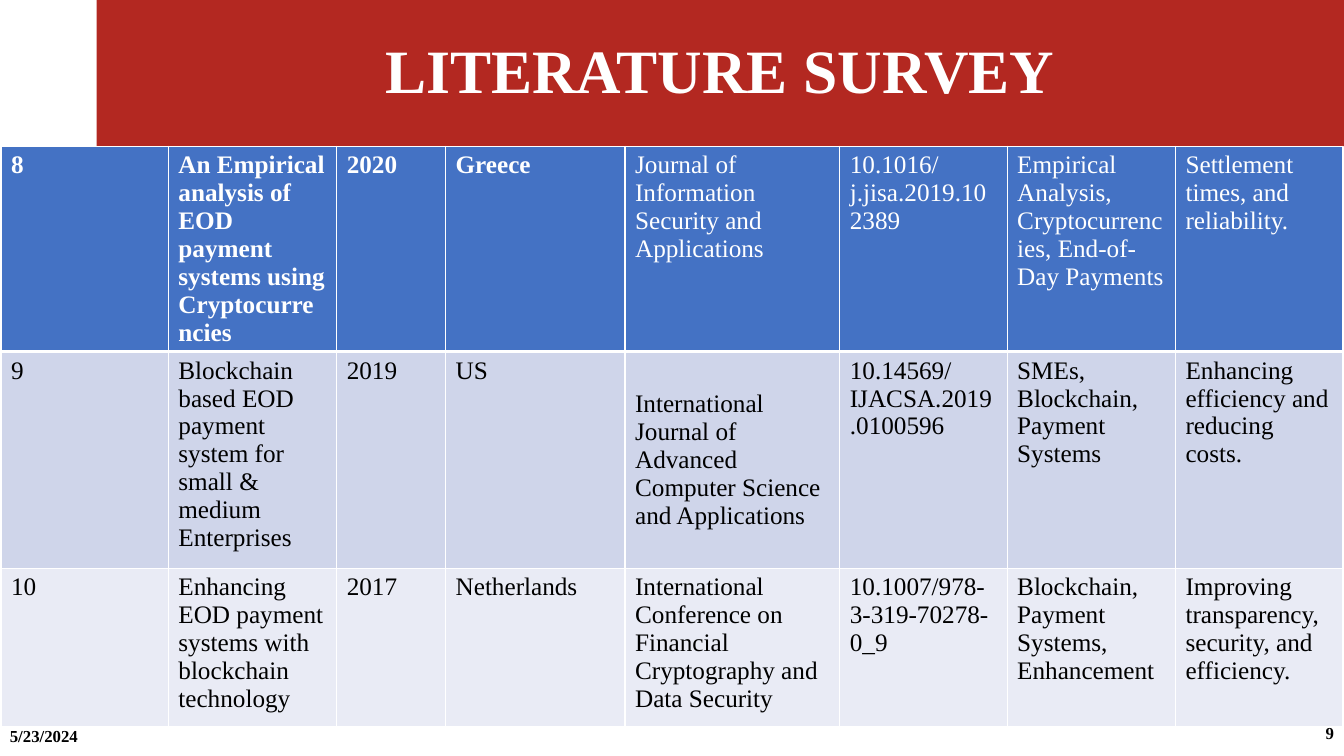
from lxml import etree
from pptx import Presentation
from pptx.dml.color import RGBColor
from pptx.enum import shapes, text
from pptx.oxml.ns import qn
from pptx.util import Inches, Pt

TITLE = "LITERATURE SURVEY"
PAPERS = [
    ("8", "An Empirical analysis of EOD payment systems using Cryptocurrencies",
     "2020", "Greece", "Journal of Information Security and Applications",
     "10.1016/j.jisa.2019.102389",
     "Empirical Analysis, Cryptocurrencies, End-of-Day Payments",
     "Settlement times, and reliability."),
    ("9", "Blockchain based EOD payment system for small & medium Enterprises",
     "2019", "US",
     "International Journal of Advanced Computer Science and Applications",
     "10.14569/IJACSA.2019.0100596", "SMEs, Blockchain, Payment Systems",
     "Enhancing efficiency and reducing costs."),
    ("10", "Enhancing EOD payment systems with blockchain technology",
     "2017", "Netherlands",
     "International Conference on Financial Cryptography and Data Security",
     "10.1007/978-3-319-70278-0_9", "Blockchain, Payment Systems, Enhancement",
     "Improving transparency, security, and efficiency."),
]
COLUMN_WIDTHS = [1.66, 1.67, 1.08, 1.78, 2.13, 1.66, 1.67, 1.66]
ROW_HEIGHTS = [1.86, 2.15, 1.57]
BOLD_COLUMNS = 4  # leading columns set bold in the top row
CENTERED_CELL = (1, 4)
FOOTERS = [  # wording, left, top, alignment
    ("9", 10.33, 7.07, text.PP_ALIGN.RIGHT),
    ("5/23/2024", 0, 7.1, text.PP_ALIGN.LEFT),
]
COLORS = {"banner": "B32821", "white": "FFFFFF", "black": "000000"}
ROW_FILLS = ["4472C4", "CFD5EA", "E9EBF5"]
FONT = "Times New Roman"


def paint(fill, color):
    fill.solid()
    fill.fore_color.rgb = RGBColor.from_string(color)


def write(frame, wording, size, color, bold, align=text.PP_ALIGN.LEFT):
    frame.word_wrap = True
    paragraph = frame.paragraphs[0]
    paragraph.alignment = align
    run = paragraph.add_run()
    run.text = wording
    run.font.name = FONT
    run.font.size = Pt(size)
    run.font.bold = bold
    run.font.color.rgb = RGBColor.from_string(color)
    return paragraph


def add_border(cell, side, width):
    line = etree.SubElement(cell._tc.get_or_add_tcPr(), qn(f"a:ln{side}"),
                            w=str(Pt(width)))
    solid = etree.SubElement(line, qn("a:solidFill"))
    etree.SubElement(solid, qn("a:srgbClr"), val=COLORS["white"])


deck = Presentation()
deck.slide_width, deck.slide_height = Inches(13.33), Inches(7.5)
slide = deck.slides.add_slide(deck.slide_layouts[6])

# Title banner
banner = slide.shapes.add_shape(shapes.MSO_SHAPE.RECTANGLE, Inches(0.96), 0,
                                Inches(12.37), Inches(1.45))
banner.shadow.inherit = False
paint(banner.fill, COLORS["banner"])
banner.line.fill.background()
banner.text_frame.vertical_anchor = text.MSO_ANCHOR.MIDDLE
heading = write(banner.text_frame, TITLE, 44, COLORS["white"], True,
                text.PP_ALIGN.CENTER)
heading.line_spacing = 0.9

# Survey table
survey = slide.shapes.add_table(
    len(PAPERS), len(COLUMN_WIDTHS), Inches(0.01), Inches(1.45),
    Inches(sum(COLUMN_WIDTHS)), Inches(sum(ROW_HEIGHTS))).table
for column, width in zip(survey.columns, COLUMN_WIDTHS):
    column.width = Inches(width)
for r, paper in enumerate(PAPERS):
    survey.rows[r].height = Inches(ROW_HEIGHTS[r])
    top_row = r == 0
    for c, wording in enumerate(paper):
        cell = survey.cell(r, c)
        for side in "LRTB":
            thick = (top_row and side == "B") or (r == 1 and side == "T")
            add_border(cell, side, 3 if thick else 1)
        paint(cell.fill, ROW_FILLS[r])
        if (r, c) == CENTERED_CELL:
            cell.vertical_anchor = text.MSO_ANCHOR.MIDDLE
        write(cell.text_frame, wording, 18,
              COLORS["white" if top_row else "black"],
              top_row and c < BOLD_COLUMNS)

# Slide number and date
for wording, left, top, align in FOOTERS:
    footer = slide.shapes.add_textbox(Inches(left), Inches(top),
                                      Inches(3), Inches(0.4))
    footer.text_frame.vertical_anchor = text.MSO_ANCHOR.MIDDLE
    write(footer.text_frame, wording, 12, COLORS["black"], True, align)

deck.save("out.pptx")
